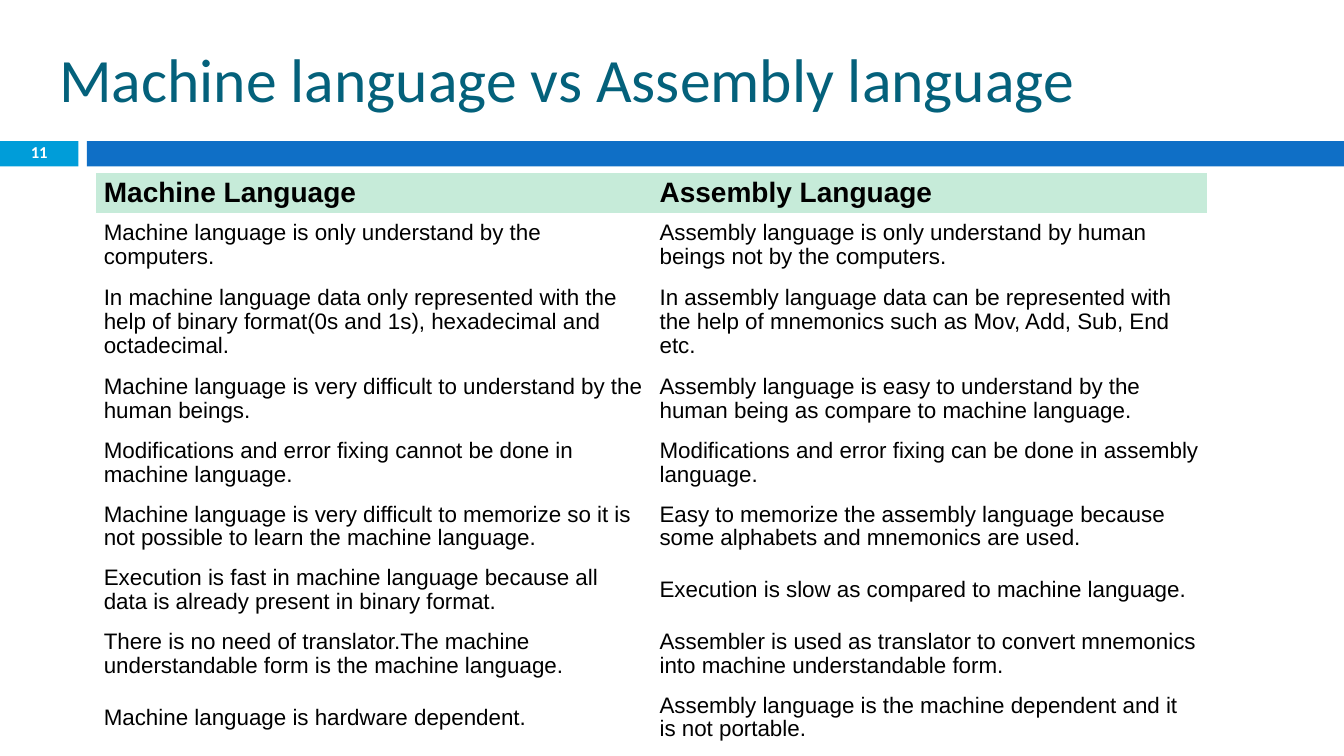
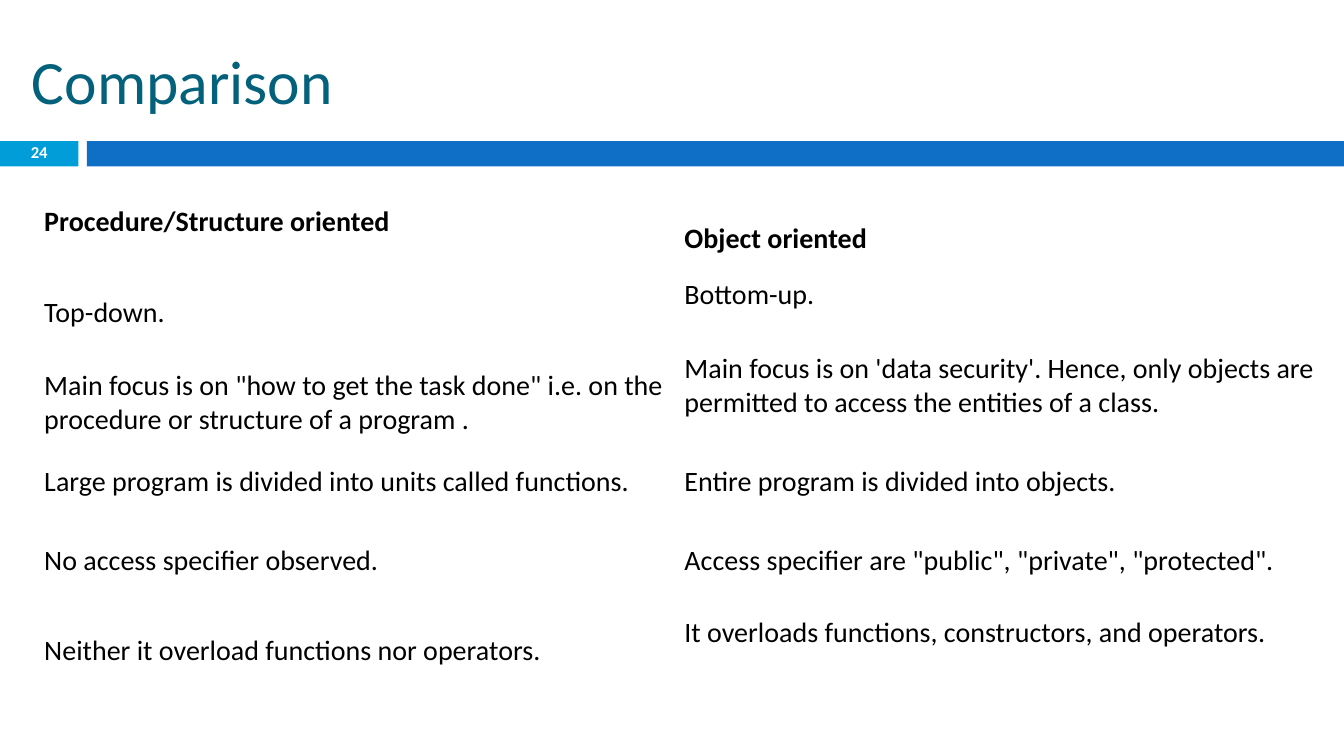
from dataclasses import dataclass

from pptx import Presentation
from pptx.dml.color import RGBColor
from pptx.enum.shapes import MSO_SHAPE as Shape
from pptx.enum.text import MSO_ANCHOR as Anchor, PP_ALIGN as Align
from pptx.slide import Slide
from pptx.text.text import TextFrame
from pptx.util import Pt


@dataclass(frozen=True)
class Theme:
    title: RGBColor = RGBColor(0x04, 0x61, 0x7B)
    tab: RGBColor = RGBColor(0x00, 0x9D, 0xD9)
    band: RGBColor = RGBColor(0x0F, 0x6F, 0xC6)
    header: RGBColor = RGBColor(0xC6, 0xEB, 0xD9)
    ink: RGBColor = RGBColor(0, 0, 0)
    paper: RGBColor = RGBColor(0xFF, 0xFF, 0xFF)
    font: str = "Calibri"
    table_font: str = "Arial"
    title_size: float = 44
    number_size: float = 11.9
    large: float = 20
    small: float = 16


THEME = Theme()
SLIDE_W, SLIDE_H = 960, 540
BAND_TOP, BAND_H = 100.8, 18
TAB_W, BAND_LEFT = 56, 62
PLAIN_TABLE = "{2D5ABB26-0587-4C30-8999-92F81FD0307C}"  # no style, no grid


@dataclass(frozen=True)
class Comparison:
    """A two-column table; cells listed in raised sit at the top of their row."""
    left: float
    top: float
    col_width: float
    row_heights: list[float]
    rows: list[tuple[str, str]]
    font: str
    body_size: float
    inset: tuple[float, float]
    line_spacing: float = 1.0
    header_fill: RGBColor | None = None
    raised: frozenset[tuple[int, int]] = frozenset()


@dataclass(frozen=True)
class Page:
    number: int
    title: str
    title_left: float
    title_top: float
    table: Comparison


PAGES = [
    Page(11, "Machine language vs Assembly language", 35.3, 16.6, Comparison(
        left=68.4, top=123.8, col_width=397,
        row_heights=[28, 45.5, 64.8] + [45.5] * 6,
        font=THEME.table_font, body_size=THEME.small, inset=(5.76, 2.88),
        line_spacing=0.95, header_fill=THEME.header,
        rows=[
            ("Machine Language", "Assembly Language"),
            ("Machine language is only understand by the computers.",
             "Assembly language is only understand by human beings not by the computers."),
            ("In machine language data only represented with the help of binary "
             "format(0s and 1s), hexadecimal and octadecimal.",
             "In assembly language data can be represented with the help of mnemonics "
             "such as Mov, Add, Sub, End etc."),
            ("Machine language is very difficult to understand by the human beings.",
             "Assembly language is easy to understand by the human being as compare "
             "to machine language."),
            ("Modifications and error fixing cannot be done in machine language.",
             "Modifications and error fixing can be done in assembly language."),
            ("Machine language is very difficult to memorize so it is not possible "
             "to learn the machine language.",
             "Easy to memorize the assembly language because some alphabets and "
             "mnemonics are used."),
            ("Execution is fast in machine language because all data is already "
             "present in binary format.",
             "Execution is slow as compared to machine language."),
            ("There is no need of translator.The machine understandable form is the "
             "machine language.",
             "Assembler is used as translator to convert mnemonics into machine "
             "understandable form."),
            ("Machine language is hardware dependent.",
             "Assembly language is the machine dependent and it is not portable."),
        ])),
    Page(24, "Comparison", 15.8, 18, Comparison(
        left=28, top=144.7, col_width=457.3,
        row_heights=[52, 53, 76, 37, 76, 53],
        font=THEME.font, body_size=THEME.large, inset=(3.6, 1.44),
        raised=frozenset({(0, 0), (1, 1), (2, 1), (5, 1)}),
        rows=[
            ("Procedure/Structure oriented", "Object oriented"),
            ("Top-down.", "Bottom-up."),
            ('Main focus is on "how to get the task done" i.e. on the procedure or '
             "structure of a program .",
             "Main focus is on 'data security'. Hence, only objects are permitted to "
             "access the entities of a class."),
            ("Large program is divided into units called functions.",
             "Entire program is divided into objects."),
            ("No access specifier observed.",
             'Access specifier are "public", "private", "protected".'),
            ("Neither it overload functions nor operators.",
             "It overloads functions, constructors, and operators."),
        ])),
]


def write(tf: TextFrame, text: str, font: str, size: float, color: RGBColor,
          bold: bool = False, spacing: float = 1.0, align: Align = Align.LEFT) -> None:
    tf.text = text
    tf.word_wrap = True
    p = tf.paragraphs[0]
    p.alignment, p.line_spacing = align, spacing
    f = p.runs[0].font
    f.name, f.size, f.bold = font, Pt(size), bold
    f.color.rgb = color


def add_bar(s: Slide, left: float, width: float, color: RGBColor) -> None:
    sp = s.shapes.add_shape(Shape.RECTANGLE, Pt(left), Pt(BAND_TOP), Pt(width), Pt(BAND_H))
    sp.shadow.inherit = False
    sp.fill.solid()
    sp.fill.fore_color.rgb = color
    sp.line.fill.background()


def add_label(s: Slide, left: float, top: float, width: float, height: float) -> TextFrame:
    tf = s.shapes.add_textbox(Pt(left), Pt(top), Pt(width), Pt(height)).text_frame
    tf.vertical_anchor = Anchor.MIDDLE
    return tf


def add_frame(s: Slide, page: Page) -> None:
    # Band with the slide number at its left end
    add_bar(s, 0, TAB_W, THEME.tab)
    add_bar(s, BAND_LEFT, SLIDE_W - BAND_LEFT, THEME.band)
    write(add_label(s, 0, 100, TAB_W, 19.4), str(page.number), THEME.font,
          THEME.number_size, THEME.paper, bold=True, spacing=0.8, align=Align.CENTER)
    # Title
    write(add_label(s, page.title_left, page.title_top, 856, 77.8), page.title,
          THEME.font, THEME.title_size, THEME.title)


def add_comparison(s: Slide, spec: Comparison) -> None:
    table = s.shapes.add_table(
        len(spec.rows), 2, Pt(spec.left), Pt(spec.top),
        Pt(2 * spec.col_width), Pt(sum(spec.row_heights))).table
    table._tbl.tblPr[0].text = PLAIN_TABLE
    table.first_row = table.horz_banding = False
    for col in table.columns:
        col.width = Pt(spec.col_width)
    for i, (height, texts) in enumerate(zip(spec.row_heights, spec.rows)):
        table.rows[i].height = Pt(height)
        for j, text in enumerate(texts):
            cell = table.cell(i, j)
            cell.margin_left = cell.margin_right = Pt(spec.inset[0])
            cell.margin_top = cell.margin_bottom = Pt(spec.inset[1])
            cell.vertical_anchor = Anchor.TOP if (i, j) in spec.raised else Anchor.MIDDLE
            if i == 0 and spec.header_fill is not None:
                cell.fill.solid()
                cell.fill.fore_color.rgb = spec.header_fill
            else:
                cell.fill.background()
            write(cell.text_frame, text, spec.font,
                  THEME.large if i == 0 else spec.body_size, THEME.ink,
                  bold=i == 0, spacing=spec.line_spacing)


def main() -> None:
    prs = Presentation()
    prs.slide_width, prs.slide_height = Pt(SLIDE_W), Pt(SLIDE_H)
    for page in PAGES:
        s = prs.slides.add_slide(prs.slide_layouts[6])
        add_frame(s, page)
        add_comparison(s, page.table)
    prs.save("out.pptx")


if __name__ == "__main__":
    main()
